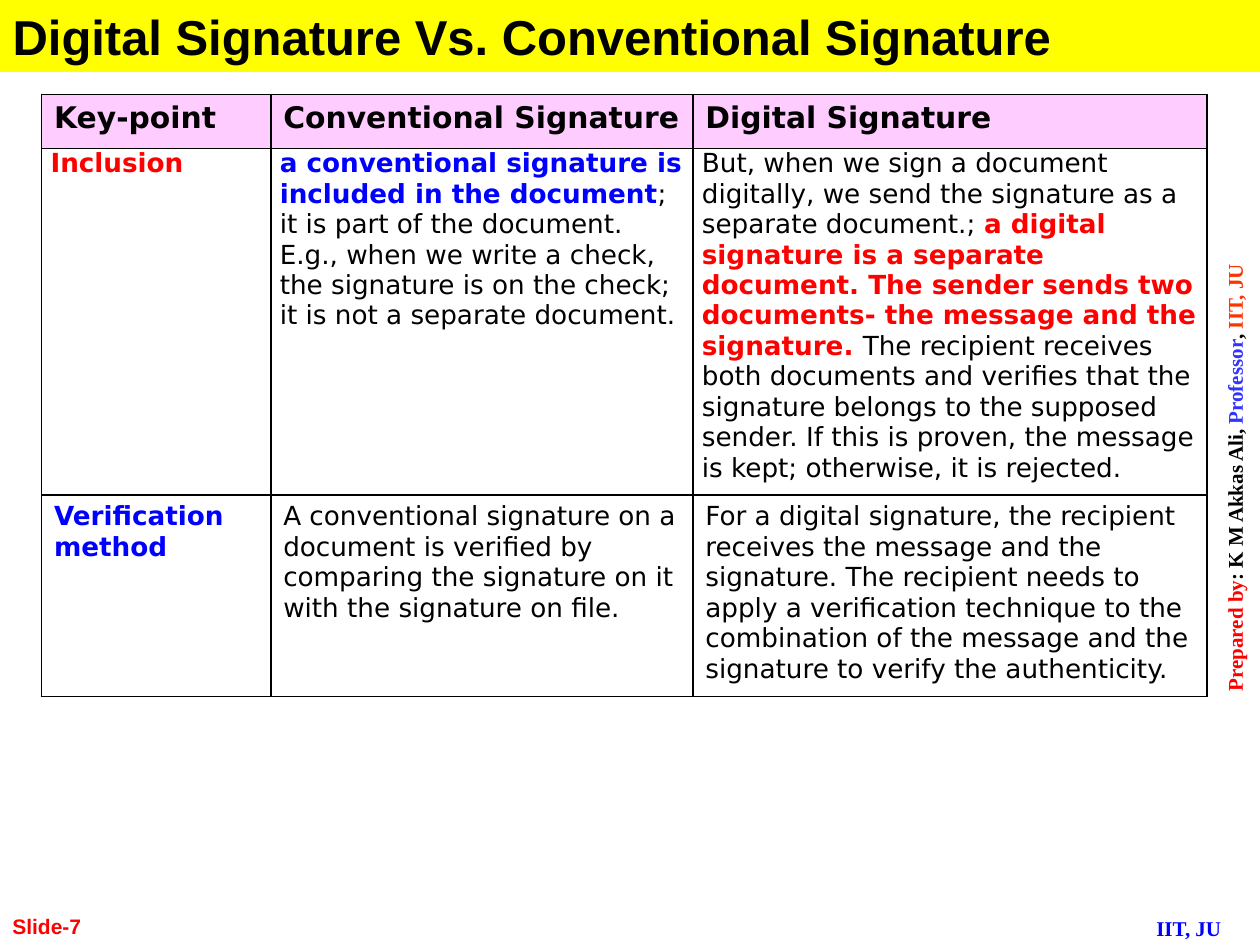
import pptx
import pptx.dml.color
import pptx.enum.text
import pptx.oxml
import pptx.oxml.ns
import pptx.util

Cm = pptx.util.Cm
Pt = pptx.util.Pt
Anchor = pptx.enum.text.MSO_ANCHOR
Align = pptx.enum.text.PP_ALIGN


class Theme:
    black, red, blue = "000000", "FF0000", "0000FF"
    indigo, orange = "3333FF", "FF3300"
    title_fill, header_fill = "FFFF00", "FFCCFF"
    sans, serif, table = "Arial", "Times New Roman", "DejaVu Sans"
    title_size, header_size, cell_size, small_size = 28, 17, 15, 12


def add_span(para, text, font=Theme.table, size=Theme.cell_size,
             color=Theme.black, bold=False):
    span = para.add_run()
    span.text = text
    span.font.name = font
    span.font.size = Pt(size)
    span.font.bold = bold
    span.font.color.rgb = pptx.dml.color.RGBColor.from_string(color)


deck = pptx.Presentation()
deck.slide_width, deck.slide_height = Cm(25.4), Cm(19.05)
page = deck.slides.add_slide(deck.slide_layouts[5])

# Title band
title = page.shapes.title
title.left, title.top, title.width, title.height = Cm(0), Cm(0), Cm(25.4), Cm(1.45)
title.fill.solid()
title.fill.fore_color.rgb = pptx.dml.color.RGBColor.from_string(Theme.title_fill)
title.text_frame.auto_size = pptx.enum.text.MSO_AUTO_SIZE.NONE
title.text_frame.vertical_anchor = Anchor.TOP
title_para = title.text_frame.paragraphs[0]
title_para.alignment = Align.LEFT
add_span(title_para, "Digital Signature Vs. Conventional Signature",
         font=Theme.sans, size=Theme.title_size, bold=True)

# Comparison table: each cell is a list of (text, format) spans
header = dict(size=Theme.header_size, bold=True)
red = dict(color=Theme.red, bold=True)
blue = dict(color=Theme.blue, bold=True)
rows = [
    [[("Key-point", header)],
     [("Conventional Signature", header)],
     [("Digital Signature", header)]],
    [[("Inclusion", red)],
     [("a conventional signature is included in the document", blue),
      ("; it is part of the document. E.g., when we write a check, the "
       "signature is on the check; it is not a separate document.", {})],
     [("But, when we sign a document digitally, we send the signature as a "
       "separate document.; ", {}),
      ("a digital signature is a separate document. The sender sends two "
       "documents- the message and the signature. ", red),
      ("The recipient receives both documents and verifies that the signature "
       "belongs to the supposed sender. If this is proven, the message is "
       "kept; otherwise, it is rejected.", {})]],
    [[("Verification method", blue)],
     [("A conventional signature on a document is verified by comparing the "
       "signature on it with the signature on file.", {})],
     [("For a digital signature, the recipient receives the message and the "
       "signature. The recipient needs to apply a verification technique to "
       "the combination of the message and the signature to verify the "
       "authenticity.", {})]],
]
col_widths = [4.62, 8.51, 10.36]
row_heights = [1.09, 6.99, 4.06]
margins = [(0.25, 0.13), (0.18, 0), (0.25, 0.13)]

table = page.shapes.add_table(
    len(rows), len(col_widths), Cm(0.84), Cm(1.9),
    Cm(sum(col_widths)), Cm(sum(row_heights))).table
table.horz_banding = False
table.first_row = False
for column, width in zip(table.columns, col_widths):
    column.width = Cm(width)

for r, cells in enumerate(rows):
    table.rows[r].height = Cm(row_heights[r])
    side, edge = margins[r]
    for c, spans in enumerate(cells):
        cell = table.cell(r, c)
        cell.margin_left = cell.margin_right = Cm(side)
        cell.margin_top = cell.margin_bottom = Cm(edge)
        cell.vertical_anchor = Anchor.TOP
        for border in ("lnL", "lnR", "lnT", "lnB"):
            cell._tc.get_or_add_tcPr().append(pptx.oxml.parse_xml(
                f'<a:{border} {pptx.oxml.ns.nsdecls("a")} w="{Pt(1)}"><a:solidFill>'
                f'<a:srgbClr val="{Theme.black}"/></a:solidFill></a:{border}>'))
        if r == 0:
            cell.fill.solid()
            cell.fill.fore_color.rgb = pptx.dml.color.RGBColor.from_string(
                Theme.header_fill)
        else:
            cell.fill.background()
        para = cell.text_frame.paragraphs[0]
        para.space_after = Pt(3)
        for text, style in spans:
            add_span(para, text, **style)

# Small labels: affiliation, author up the right edge, slide number
serif = dict(font=Theme.serif, size=Theme.small_size, bold=True)
sans = dict(serif, font=Theme.sans)
labels = [
    ((23.06, 18.34, 2.34, 0.76), "horz", Align.LEFT, Anchor.TOP, serif,
     [("IIT, JU", Theme.blue)]),
    ((24.51, 0.84, 1.02, 17.58), "vert270", Align.CENTER, Anchor.TOP, serif,
     [("Prepared by", Theme.red), (": K M Akkas Ali, ", Theme.black),
      ("Professor", Theme.indigo), (", ", Theme.black),
      ("IIT, JU", Theme.orange)]),
    ((0, 17.78, 5.28, 1.27), "horz", Align.LEFT, Anchor.BOTTOM, sans,
     [("Slide-7", Theme.red)]),
]
for place, direction, align, anchor, style, spans in labels:
    box = page.shapes.add_textbox(*map(Cm, place))
    box.text_frame.word_wrap = True
    box.text_frame.vertical_anchor = anchor
    box.text_frame._txBody.bodyPr.set("vert", direction)
    para = box.text_frame.paragraphs[0]
    para.alignment = align
    for text, color in spans:
        add_span(para, text, color=color, **style)

deck.save("out.pptx")
